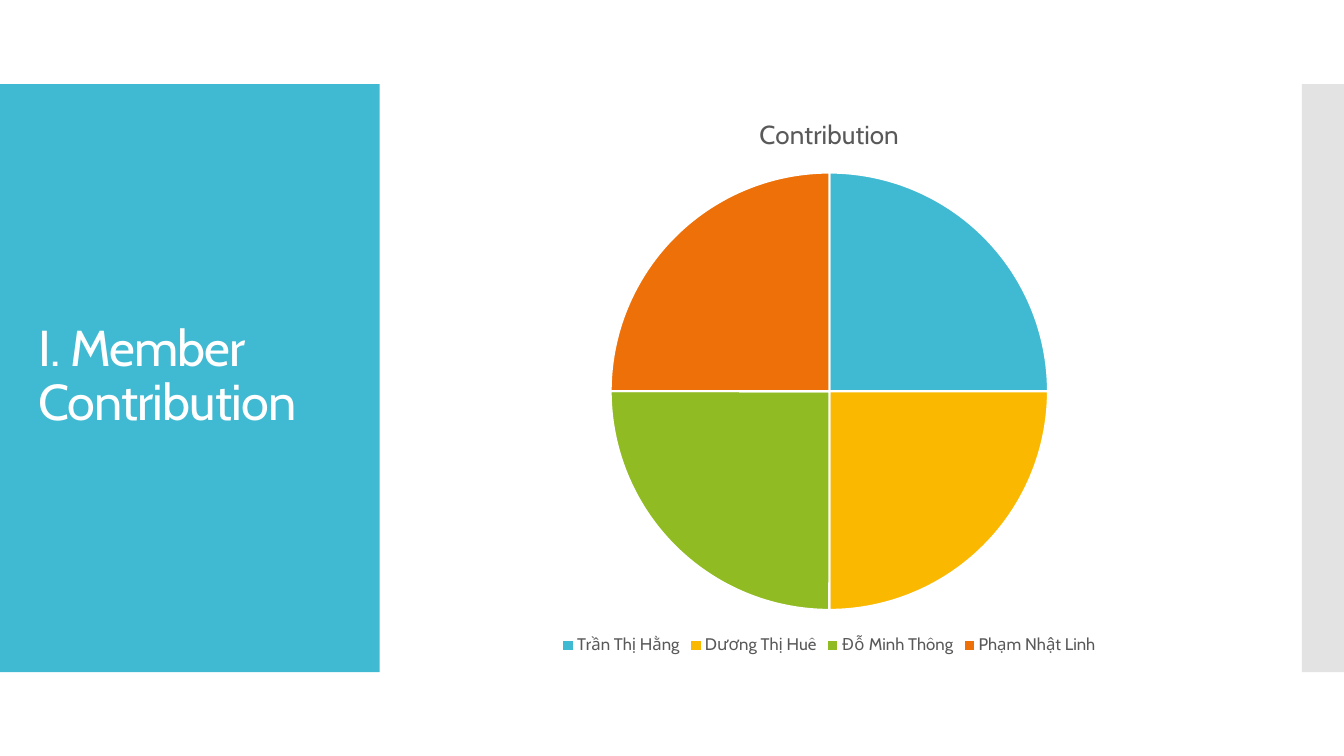
from lxml import etree
from pptx import Presentation
from pptx import util as u
from pptx.chart import data as chart_data
from pptx.dml import color
from pptx.enum import chart as chart_enum, shapes, text
from pptx.oxml import ns

TEAL, WHITE, GREY, DARK = "40BAD2", "FFFFFF", "C8C8C8", "595959"
MEMBERS = {
    "Trần Thị Hằng": TEAL,
    "Dương Thị Huê": "FAB900",
    "Đỗ Minh Thông": "90BB23",
    "Phạm Nhật Linh": "EE7008",
}
BAND_TOP, BAND_HEIGHT = 2.12, 14.82


def rgb(value):
    return color.RGBColor.from_string(value)


class SlideBuilder:
    font_name = "Cabin"

    def __init__(self, slide):
        self.slide = slide

    def style(self, font, size, hex_color):
        font.name = self.font_name
        font.size = u.Pt(size)
        font.bold = False
        font.color.rgb = rgb(hex_color)

    def panel(self, left, width, fill, opacity=100):
        shape = self.slide.shapes.add_shape(
            shapes.MSO_SHAPE.RECTANGLE,
            u.Cm(left), u.Cm(BAND_TOP), u.Cm(width), u.Cm(BAND_HEIGHT))
        shape.shadow.inherit = False
        shape.line.fill.background()
        shape.fill.solid()
        shape.fill.fore_color.rgb = rgb(fill)
        if opacity < 100:
            fill_color = shape.fill._xPr.find(".//" + ns.qn("a:srgbClr"))
            etree.SubElement(fill_color, ns.qn("a:alpha"), val=str(opacity * 1000))

    def title(self, left, top, width, height, words):
        shape = self.slide.shapes.add_textbox(
            u.Cm(left), u.Cm(top), u.Cm(width), u.Cm(height))
        frame = shape.text_frame
        frame.word_wrap = True
        frame.vertical_anchor = text.MSO_ANCHOR.MIDDLE
        paragraph = frame.paragraphs[0]
        paragraph.line_spacing = 0.9
        run = paragraph.add_run()
        run.text = words
        self.style(run.font, 36, WHITE)
        run.font._element.set("spc", "-60")

    def pie(self, left, top, width, height, name, slices):
        data = chart_data.CategoryChartData()
        data.categories = list(slices)
        data.add_series(name, [100 / len(slices)] * len(slices))
        chart = self.slide.shapes.add_chart(
            chart_enum.XL_CHART_TYPE.PIE,
            u.Cm(left), u.Cm(top), u.Cm(width), u.Cm(height), data).chart
        self.style(chart.font, 10, "000000")

        # Chart title and legend
        chart.has_title = True
        run = chart.chart_title.text_frame.paragraphs[0].add_run()
        run.text = name
        self.style(run.font, 18.6, DARK)
        chart.has_legend = True
        chart.legend.position = chart_enum.XL_LEGEND_POSITION.BOTTOM
        chart.legend.include_in_layout = False
        self.style(chart.legend.font, 12, DARK)

        # Slice colours
        plot = chart.plots[0]
        plot.vary_by_categories = True
        for index, fill in enumerate(slices.values()):
            slice_format = plot.series[0].points[index].format
            slice_format.fill.solid()
            slice_format.fill.fore_color.rgb = rgb(fill)
            slice_format.line.color.rgb = rgb(WHITE)
            slice_format.line.width = u.Pt(1.5)


def main():
    presentation = Presentation()
    presentation.slide_width = u.Cm(33.87)
    presentation.slide_height = u.Cm(19.05)
    builder = SlideBuilder(presentation.slides.add_slide(presentation.slide_layouts[6]))

    # Side panels
    builder.panel(0, 9.57, TEAL)
    builder.panel(32.81, 1.06, GREY, opacity=50)

    # Title and chart
    builder.title(0.71, 3.12, 8.18, 12.78, "I. Member Contribution")
    builder.pie(10.74, 2.39, 20.32, 14.22, "Contribution", MEMBERS)

    presentation.save("out.pptx")


if __name__ == "__main__":
    main()
